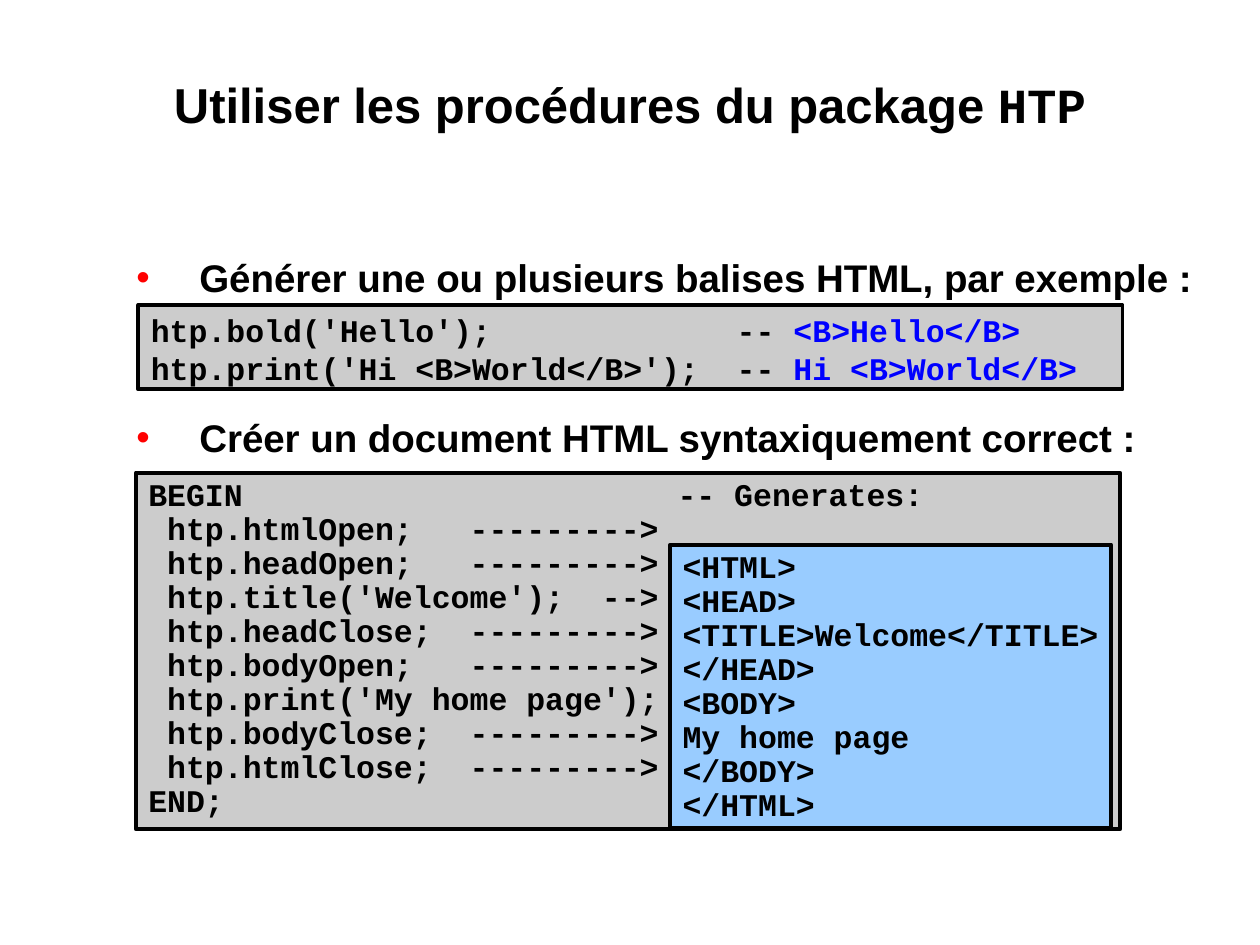
from lxml import etree
from pptx import Presentation
from pptx import util as u
from pptx.dml.color import RGBColor
from pptx.enum import shapes, text
from pptx.oxml.ns import qn

BLACK = RGBColor(0x00, 0x00, 0x00)
RED = RGBColor(0xFF, 0x00, 0x00)
BLUE = RGBColor(0x00, 0x00, 0xFF)
GREY = RGBColor(0xCC, 0xCC, 0xCC)
SKY = RGBColor(0x99, 0xCC, 0xFF)
SANS = "Arial"
MONO = "Courier New"

TAG_CALLS = [
    ("htp.bold('Hello');             -- ", "<B>Hello</B>"),
    ("htp.print('Hi <B>World</B>');  -- ", "Hi <B>World</B>"),
]
PROGRAM = """BEGIN                       -- Generates:
 htp.htmlOpen;   --------->
 htp.headOpen;   --------->
 htp.title('Welcome');  -->
 htp.headClose;  --------->
 htp.bodyOpen;   --------->
 htp.print('My home page');
 htp.bodyClose;  --------->
 htp.htmlClose;  --------->
END;"""
GENERATED = """<HTML>
<HEAD>
<TITLE>Welcome</TITLE>
</HEAD>
<BODY>
My home page
</BODY>
</HTML>"""


def set_font(target, size, name=SANS, color=BLACK):
    target.font.size = u.Pt(size)
    target.font.name = name
    target.font.bold = True
    target.font.color.rgb = color


def set_margins(frame, across, down):
    frame.margin_left = frame.margin_right = u.Cm(across)
    frame.margin_top = frame.margin_bottom = u.Cm(down)
    frame.vertical_anchor = text.MSO_ANCHOR.TOP


def add_frame(page, left, top, width, height):
    box = page.shapes.add_textbox(u.Cm(left), u.Cm(top), u.Cm(width), u.Cm(height))
    frame = box.text_frame
    frame.word_wrap = True
    set_margins(frame, 0.03, 0.03)
    return frame


def add_bullet(para, color):
    properties = para._p.get_or_add_pPr()
    properties.set("marL", str(u.Cm(1.6)))
    properties.set("indent", str(-u.Cm(1.27)))
    tint = etree.SubElement(properties, qn("a:buClr"))
    etree.SubElement(tint, qn("a:srgbClr")).set("val", str(color))
    etree.SubElement(properties, qn("a:buFont")).set("typeface", SANS)
    etree.SubElement(properties, qn("a:buChar")).set("char", "•")


def add_title(page, left, top, width, height):
    para = add_frame(page, left, top, width, height).paragraphs[0]
    para.alignment = text.PP_ALIGN.CENTER
    for words, name in (("Utiliser les procédures du package ", SANS), ("HTP", MONO)):
        span = para.add_run()
        span.text = words
        set_font(span, 28, name)


def add_points(page, left, top, width, height):
    frame = add_frame(page, left, top, width, height)
    frame.text = (
        "Générer une ou plusieurs balises HTML, par exemple :\n"
        "Créer un document HTML syntaxiquement correct :"
    )
    for para in frame.paragraphs:
        add_bullet(para, RED)
        set_font(para, 22)
    frame.paragraphs[1].space_before = u.Pt(65)


def add_panel(page, left, top, width, height, fill, wrap=True):
    panel = page.shapes.add_shape(
        shapes.MSO_SHAPE.RECTANGLE, u.Cm(left), u.Cm(top), u.Cm(width), u.Cm(height)
    )
    panel.shadow.inherit = False
    panel.fill.solid()
    panel.fill.fore_color.rgb = fill
    panel.line.color.rgb = BLACK
    panel.line.width = u.Pt(2.25)
    frame = panel.text_frame
    frame.word_wrap = wrap
    set_margins(frame, 0.25, 0.13)
    return frame


def add_listing(frame, code):
    frame.text = code
    for para in frame.paragraphs:
        para.alignment = text.PP_ALIGN.LEFT
        para.line_spacing = 0.9
        set_font(para, 18, MONO)


def add_program(page, left, top, width, height):
    add_listing(add_panel(page, left, top, width, height, GREY), PROGRAM)
    output = add_panel(page, left + 10.77, top + 1.45, 8.89, 5.72, SKY, wrap=False)
    add_listing(output, GENERATED)


def add_tag_calls(page, left, top, width, height):
    frame = add_panel(page, left, top, width, height, GREY)
    for index, (call, result) in enumerate(TAG_CALLS):
        para = frame.add_paragraph() if index else frame.paragraphs[0]
        para.alignment = text.PP_ALIGN.LEFT
        for words, color in ((call, BLACK), (result, BLUE)):
            span = para.add_run()
            span.text = words
            set_font(span, 18, MONO, color)


def main():
    deck = Presentation()
    deck.slide_width = u.Cm(25.4)
    deck.slide_height = u.Cm(19.05)
    page = deck.slides.add_slide(deck.slide_layouts[6])
    add_title(page, 2.54, 1.47, 20.32, 2.44)
    add_points(page, 2.39, 5.1, 22.38, 5.3)
    add_program(page, 2.74, 9.53, 19.84, 7.19)
    add_tag_calls(page, 2.79, 6.15, 19.84, 1.7)
    deck.save("out.pptx")


if __name__ == "__main__":
    main()
